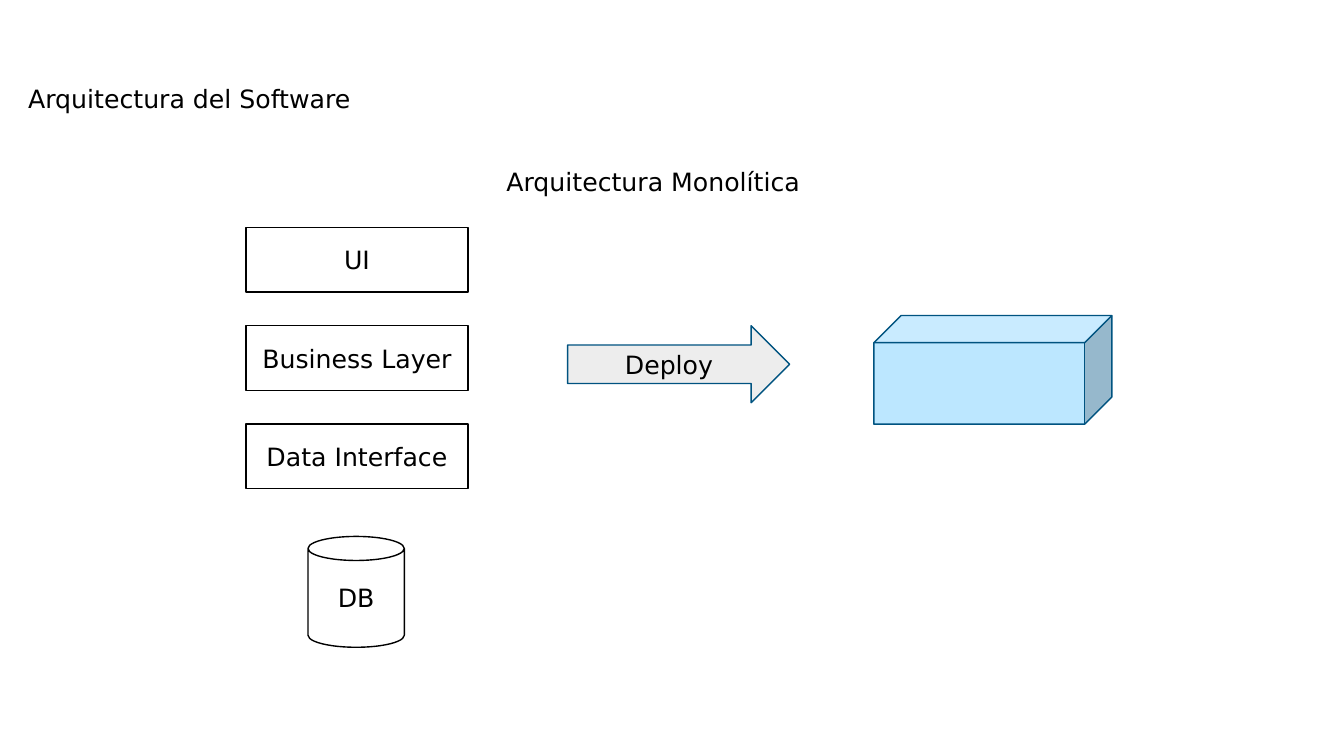
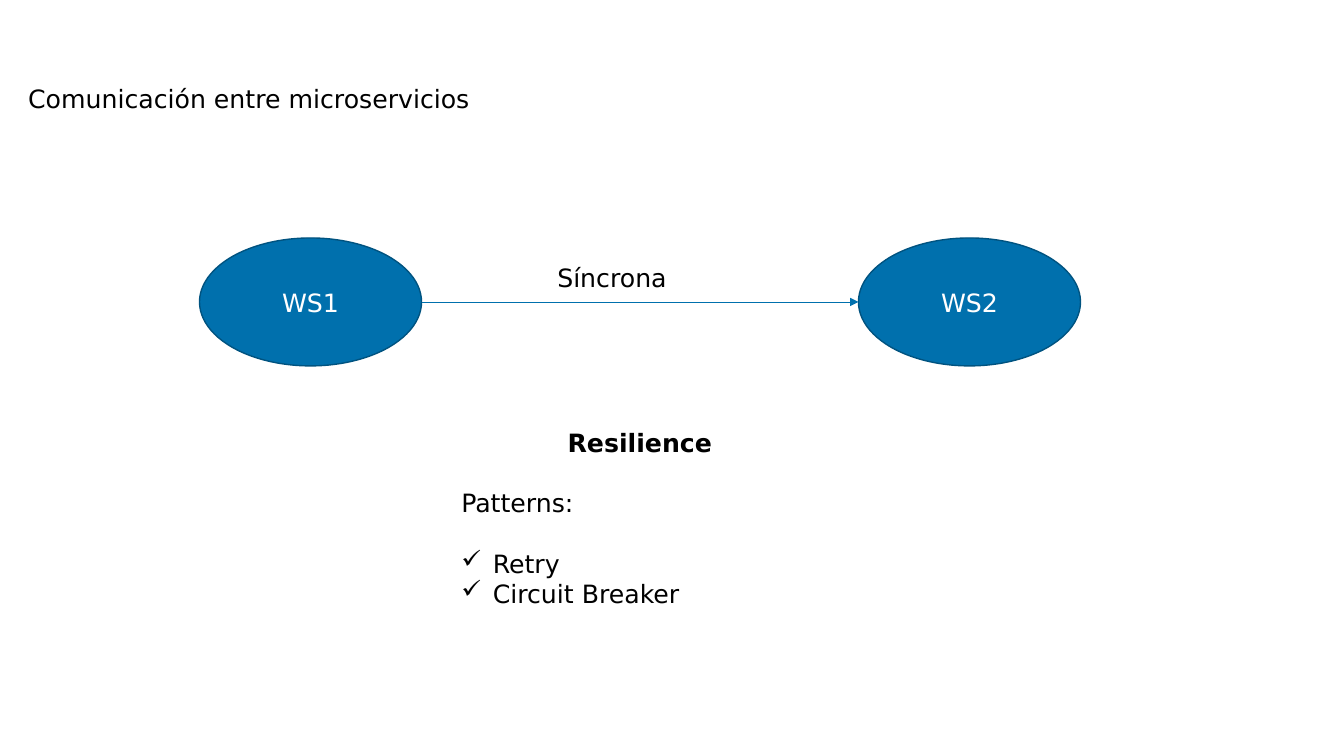
import pptx
import pptx.util
import pptx.dml.color
import pptx.enum.shapes
import pptx.enum.text
import pptx.oxml.ns
import lxml.etree

Pt = pptx.util.Pt
RGB = pptx.dml.color.RGBColor
KIND = pptx.enum.shapes.MSO_SHAPE
ALIGN = pptx.enum.text.PP_ALIGN
MID = pptx.enum.text.MSO_ANCHOR.MIDDLE
qn = pptx.oxml.ns.qn

BLACK = RGB(0x00, 0x00, 0x00)
WHITE = RGB(0xFF, 0xFF, 0xFF)
BLUE = RGB(0x00, 0x70, 0xAD)
NAVY = RGB(0x00, 0x53, 0x80)
SKY = RGB(0xBC, 0xE7, 0xFF)
GRAY = RGB(0xED, 0xED, 0xED)
FONT = "DejaVu Sans"
SIZE = 18


def write(frame, text, color=BLACK, bold=False, align=ALIGN.LEFT,
          gap=0, lead=1.0, mark=None):
    """Fill the first paragraph, or add one when the frame has text."""
    frame.word_wrap = True
    para = frame.add_paragraph() if frame.text else frame.paragraphs[0]
    para.alignment = align
    para.line_spacing = lead
    if gap:
        para.space_before = Pt(gap)
    if mark:
        props = para._p.get_or_add_pPr()
        props.set("marL", str(Pt(22.5)))
        props.set("indent", str(-Pt(22.5)))
        lxml.etree.SubElement(props, qn("a:buChar")).set("char", mark)
    run = para.add_run()
    run.text = text
    run.font.name = FONT
    run.font.size = Pt(SIZE)
    run.font.bold = bold
    run.font.color.rgb = color


def draw(slide, kind, x, y, w, h, fill, line, text="", color=BLACK):
    """Add an outlined shape with a centred label."""
    shape = slide.shapes.add_shape(kind, Pt(x), Pt(y), Pt(w), Pt(h))
    shape.shadow.inherit = False
    shape.fill.solid()
    shape.fill.fore_color.rgb = fill
    shape.line.color.rgb = line
    shape.line.width = Pt(1)
    if text:
        shape.text_frame.vertical_anchor = MID
        write(shape.text_frame, text, color=color, align=ALIGN.CENTER)


deck = pptx.Presentation()
deck.slide_width = Pt(960)
deck.slide_height = Pt(540)

# Slides and their titles
pages = []
for title, height in [("Arquitectura del Software", 388),
                      ("Comunicación entre microservicios", 98.6)]:
    page = deck.slides.add_slide(deck.slide_layouts[6])
    box = page.shapes.add_textbox(Pt(13), Pt(58.3), Pt(907.2), Pt(height))
    write(box.text_frame, title, lead=0.9)
    pages.append((page, box.text_frame))

# Slide 1: monolith
page, body = pages[0]
write(body, "Arquitectura Monolítica", align=ALIGN.CENTER, gap=40, lead=0.9)

# Layers and database
for row, name in enumerate(["UI", "Business Layer", "Data Interface"]):
    draw(page, KIND.RECTANGLE, 175.7, 162.5 + 70.2 * row, 158.6, 46.2,
         WHITE, BLACK, name)
draw(page, KIND.CAN, 220, 383.2, 68.8, 79.2, WHITE, BLACK, "DB")

# Deployment
draw(page, KIND.RIGHT_ARROW, 405.4, 232.7, 158.6, 55, GRAY, NAVY, "Deploy")
draw(page, KIND.CUBE, 624.2, 225.4, 170, 77.6, SKY, NAVY)

# Slide 2: services
page = pages[1][0]
for left, name in [(142.5, "WS1"), (613.2, "WS2")]:
    draw(page, KIND.OVAL, left, 170, 158.6, 91.4, BLUE, NAVY, name, WHITE)

# Call from one service to the other
call = page.shapes.add_connector(
    pptx.enum.shapes.MSO_CONNECTOR.STRAIGHT,
    Pt(301.1), Pt(215.7), Pt(613.2), Pt(215.7))
call.line.color.rgb = BLUE
call.line.width = Pt(0.5)
props = call.element.spPr
lxml.etree.SubElement(props.find(qn("a:ln")), qn("a:tailEnd")).set(
    "type", "triangle")
lxml.etree.SubElement(props, qn("a:effectLst"))

label = page.shapes.add_textbox(Pt(391), Pt(183.6), Pt(194.4), Pt(29))
write(label.text_frame, "Síncrona")

# Resilience patterns
notes = page.shapes.add_textbox(Pt(322.4), Pt(301.7), Pt(269.3), Pt(138.2))
frame = notes.text_frame
write(frame, "Resilience", bold=True, align=ALIGN.CENTER)
write(frame, "Patterns:", gap=21.5)
write(frame, "Retry", gap=21.5, mark="✓")
write(frame, "Circuit Breaker", mark="✓")

deck.save("out.pptx")
